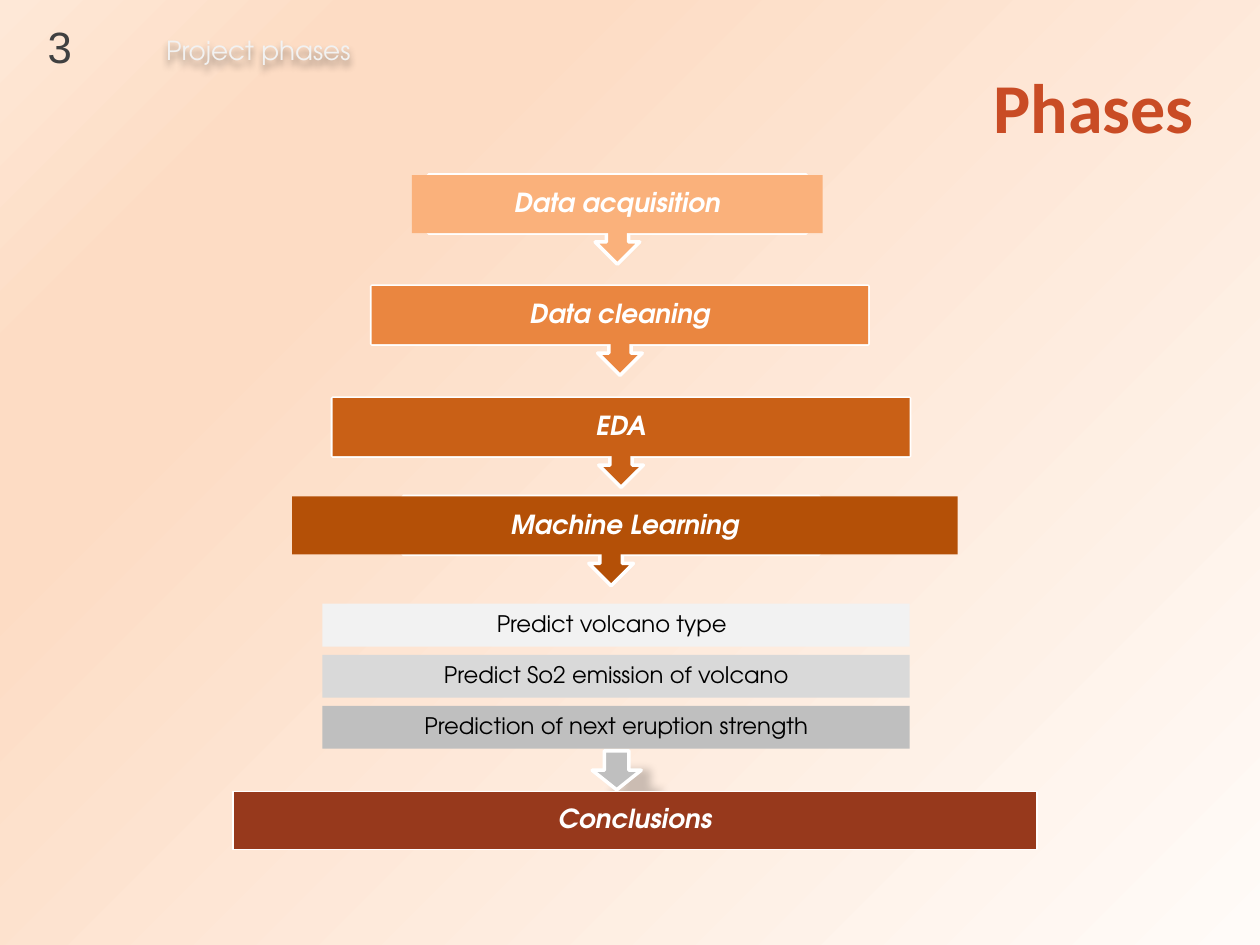
from lxml.etree import SubElement
from pptx import Presentation
from pptx.dml.color import RGBColor
from pptx.enum.shapes import MSO_SHAPE as SHAPE
from pptx.enum.text import MSO_ANCHOR as ANCHOR, PP_ALIGN as ALIGN
from pptx.oxml import parse_xml
from pptx.oxml.ns import nsdecls, qn
from pptx.util import Pt

FONT = "TeX Gyre Adventor"
WHITE = "FFFFFF"
BACKGROUND = [(0, "FFFBF8"), (74, "FDDCC4"), (83, "FDDCC4"), (100, "FEE8D7")]
PHASES = [
    ("Data acquisition", "FAB17B", 100, (235.4, 234.7), (244.8, 216)),
    ("Data cleaning", "EA8640", 163.5, (212.4, 283.7), (212.4, 283.7)),
    ("EDA", "C96016", 227.5, (190, 329.8), (190, 329.8)),
    ("Machine Learning", "B45007", 283.7, (167, 380.2), (230.4, 237.6)),
]
TASKS = [
    ("Predict volcano type", "F2F2F2", 5),
    ("Predict So2 emission of volcano", "D9D9D9", 0),
    ("Prediction of next eruption strength", "BFBFBF", 0),
]
BAR_H, CALLOUT_H = 33.2, 51
TASK_LEFT, TASK_TOP, TASK_W, TASK_H, TASK_STEP = 184.3, 345, 335.5, 24.5, 29.2


def color(value):
    return RGBColor.from_string(value)


def set_background(slide, stops):
    gs = "".join(f'<a:gs pos="{pos * 1000}"><a:srgbClr val="{c}"/></a:gs>' for pos, c in stops)
    bg = parse_xml(
        f'<p:bg {nsdecls("p", "a")}><p:bgPr><a:gradFill rotWithShape="1"><a:gsLst>{gs}</a:gsLst>'
        '<a:path path="circle"><a:fillToRect l="100000" t="100000"/></a:path>'
        "</a:gradFill><a:effectLst/></p:bgPr></p:bg>")
    slide.element.cSld.insert(0, bg)


def add_shadow(sp, alpha, blur, dist, angle):
    sp.shadow.inherit = False
    effects = sp._element.spPr.find(qn("a:effectLst"))
    outer = SubElement(effects, qn("a:outerShdw"), blurRad=str(Pt(blur)), dist=str(Pt(dist)),
                       dir=str(angle * 60000), algn="tl", rotWithShape="0")
    clr = SubElement(outer, qn("a:srgbClr"), val="000000")
    SubElement(clr, qn("a:alpha"), val=str(alpha * 1000))


def add_block(slide, kind, box, fill, line_width=0):
    sp = slide.shapes.add_shape(kind, *map(Pt, box))
    sp.shadow.inherit = False
    sp.fill.solid()
    sp.fill.fore_color.rgb = color(fill)
    if line_width:
        sp.line.color.rgb = color(WHITE)
        sp.line.width = Pt(line_width)
    else:
        sp.line.fill.background()
    return sp


def write(sp, text, size, text_color, font=FONT, align=ALIGN.CENTER, anchor=ANCHOR.MIDDLE,
          bold=False, italic=False):
    tf = sp.text_frame
    tf.word_wrap = True
    tf.vertical_anchor = anchor
    p = tf.paragraphs[0]
    p.text = text
    p.alignment = align
    p.font.name, p.font.size = font, Pt(size)
    p.font.bold, p.font.italic = bold, italic
    p.font.color.rgb = color(text_color)
    return p


def write_bar(sp, text, size, text_color, inset, strong=False):
    p = write(sp, text, size, text_color, bold=strong, italic=strong)
    p.line_spacing = 0.9
    tf = sp.text_frame
    tf.margin_left = tf.margin_right = tf.margin_top = tf.margin_bottom = Pt(inset)


def main():
    prs = Presentation()
    prs.slide_width, prs.slide_height = Pt(720), Pt(540)
    slide = prs.slides.add_slide(prs.slide_layouts[5])
    set_background(slide, BACKGROUND)

    title = slide.shapes.title
    title.left, title.top, title.width, title.height = map(Pt, (275, 28.8, 432.7, 62.6))
    write(title, "Phases", 40, "C94C25", "Calibri", ALIGN.RIGHT, bold=True)
    title.text_frame.margin_left, title.text_frame.margin_right = 0, Pt(25.5)

    arrow = add_block(slide, SHAPE.DOWN_ARROW, (338.4, 429, 28, 22.3), "BFBFBF", 2)
    add_shadow(arrow, 20, 5, 16, 46)

    for text, fill, top, (left, width), (arrow_left, arrow_width) in PHASES:
        callout = add_block(slide, SHAPE.UP_ARROW_CALLOUT,
                            (arrow_left, top, arrow_width, CALLOUT_H), fill, 2)
        callout.rotation = 180
        bar = add_block(slide, SHAPE.RECTANGLE, (left, top, width, BAR_H), fill)
        write_bar(bar, text, 15, WHITE, 8.6, True)

    for i, (text, fill, shift) in enumerate(TASKS):
        box = (TASK_LEFT, TASK_TOP + i * TASK_STEP, TASK_W, TASK_H)
        bar = add_block(slide, SHAPE.RECTANGLE, box, fill)
        write_bar(bar, text, 13, "000000", 7.2)
        bar.text_frame.margin_right = Pt(7.2 + shift)

    end = add_block(slide, SHAPE.RECTANGLE, (133.2, 452.2, 459.4, BAR_H), "97391C", 0.75)
    write_bar(end, "Conclusions", 15, WHITE, 8.6, True)

    header = slide.shapes.add_textbox(*map(Pt, (87.8, 17.3, 130.3, 23.8)))
    write(header, "Project phases", 15, "F2F2F2", align=ALIGN.LEFT, anchor=ANCHOR.BOTTOM)
    add_shadow(header, 40, 4, 3, 90)

    number = slide.shapes.add_textbox(*map(Pt, (14.4, 20.9, 39.6, 23.8)))
    write(number, "3", 25, "404040", "Arial", anchor=ANCHOR.BOTTOM)

    prs.save("out.pptx")


if __name__ == "__main__":
    main()
